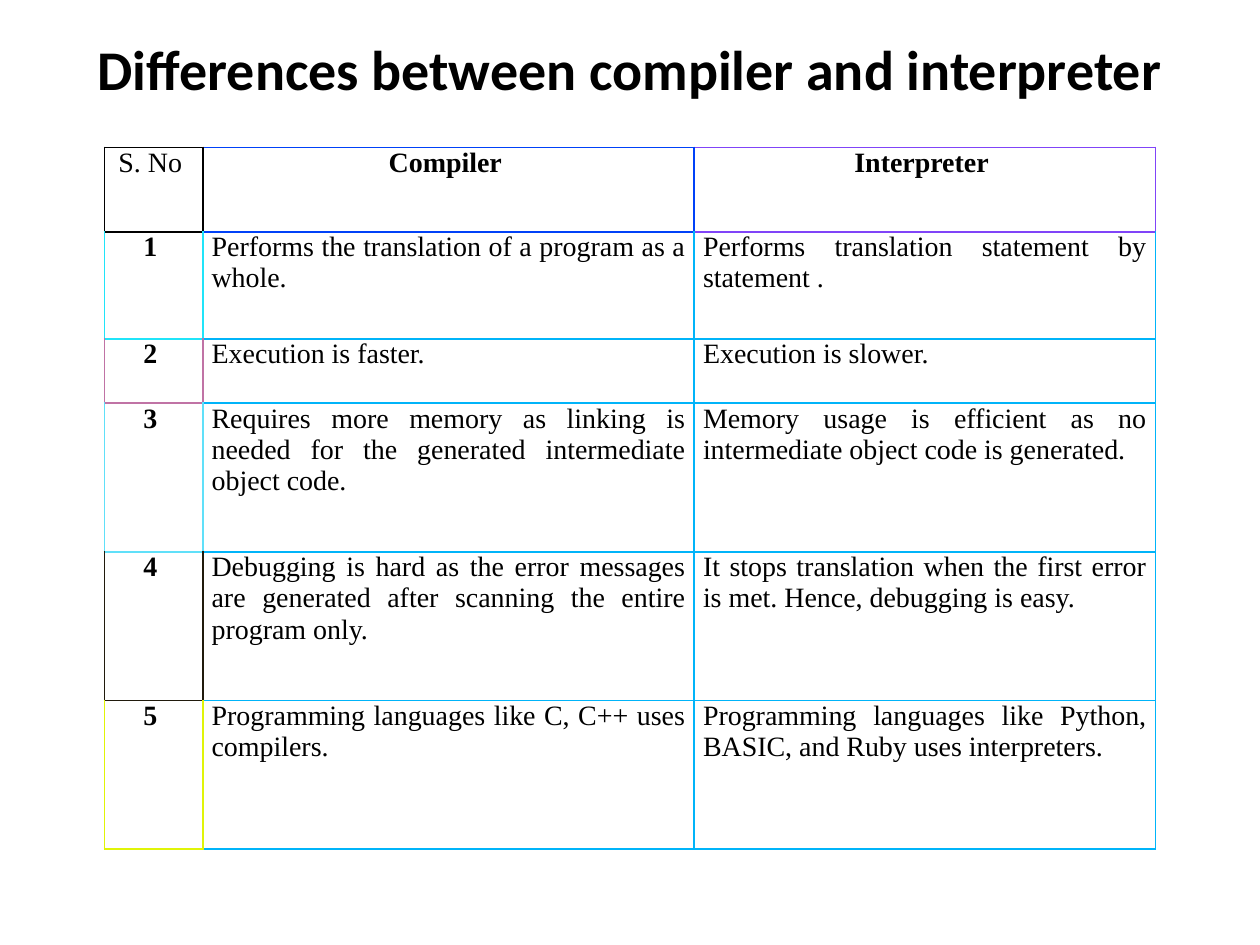
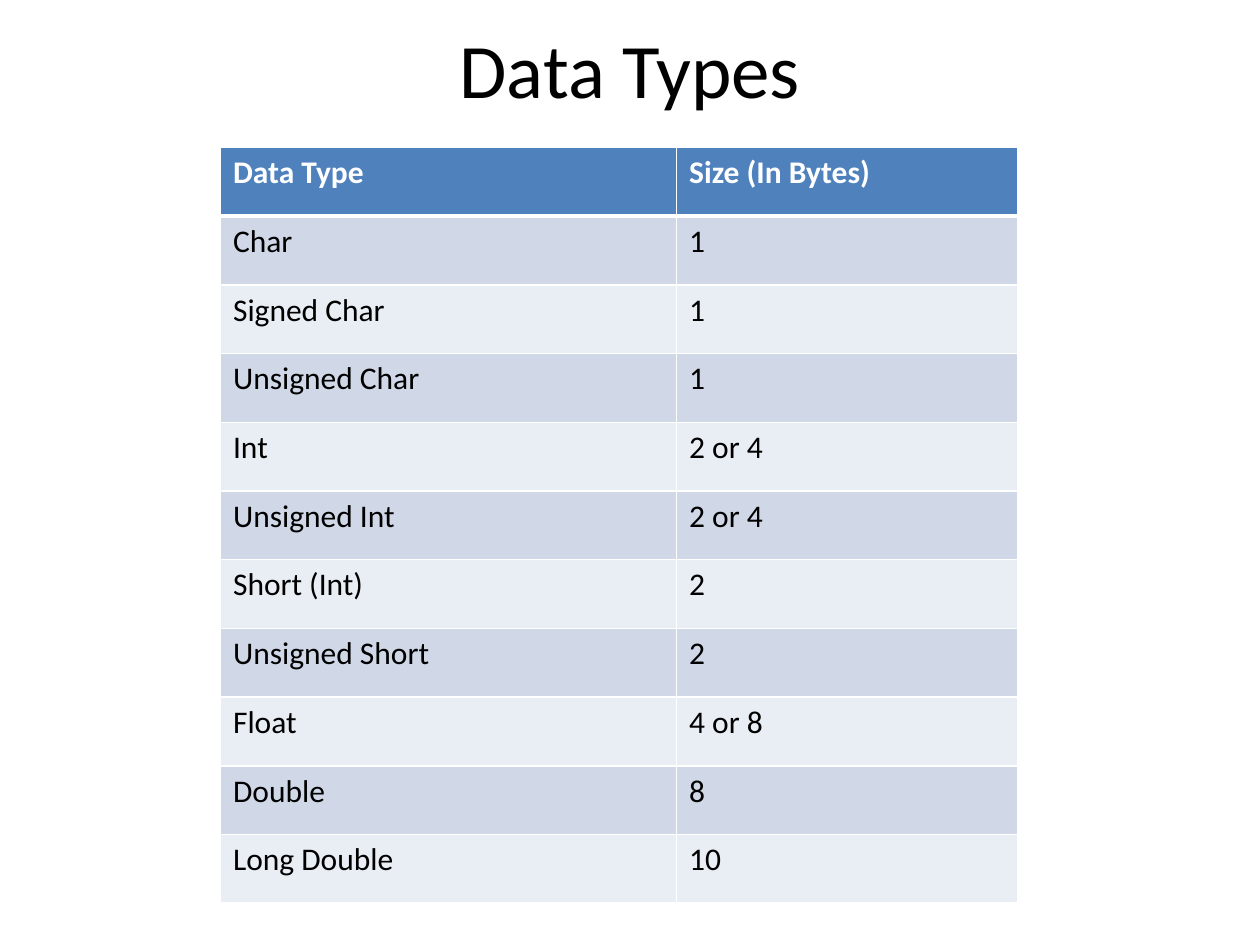
from lxml.etree import SubElement
from pptx import Presentation
from pptx.dml.color import RGBColor
from pptx.enum.text import MSO_ANCHOR, PP_ALIGN
from pptx.oxml.ns import qn
from pptx.util import Inches, Pt

BLACK, WHITE = "000000", "FFFFFF"
HEADER_BLUE = "4F81BD"
BANDS = ("D0D8E8", "E9EDF4")
SKY, ROYAL, VIOLET = "00B4F9", "0041F8", "8044F8"
NUMBER_COLOURS = ("20E4F9", "C073A5", "60E0F9", "201A0C", "E0F408")
TITLE_BOX = (0.5, 0.08, 9, 0.92)

COMPARISON = (
    ("S. No ", "Compiler ", "Interpreter "),
    ("1 ", "Performs the translation of a program as a whole. ",
     "Performs translation statement by statement . "),
    ("2 ", "Execution is faster. ", "Execution is slower. "),
    ("3 ", "Requires more memory as linking is needed for the generated intermediate object code. ",
     "Memory usage is efficient as no intermediate object code is generated. "),
    ("4 ", "Debugging is hard as the error messages are generated after scanning the entire program only. ",
     "It stops translation when the first error is met. Hence, debugging is easy. "),
    ("5 ", "Programming languages like C, C++ uses compilers. ",
     "Programming languages like Python, BASIC, and Ruby uses interpreters. "),
)
DATA_TYPES = (
    ("Data Type", "Size (In Bytes)"),
    ("Char", "1"),
    ("Signed Char", "1"),
    ("Unsigned Char", "1"),
    ("Int", "2 or 4"),
    ("Unsigned Int", "2 or 4"),
    ("Short (Int)", "2"),
    ("Unsigned Short", "2"),
    ("Float", "4 or 8"),
    ("Double", "8"),
    ("Long Double", "10"),
)


def colour(code):
    """Turn a hex string into a colour."""
    return RGBColor.from_string(code)


def style_paragraph(para, font_name, size, shade=BLACK, bold=False, align=PP_ALIGN.LEFT):
    """Set the alignment and font of a paragraph."""
    para.alignment = align
    para.font.name = font_name
    para.font.size = Pt(size)
    para.font.bold = bold
    para.font.color.rgb = colour(shade)


def add_title(page, text, size, bold=False):
    """Add the centred title of a slide."""
    box = page.shapes.add_textbox(*map(Inches, TITLE_BOX))
    frame = box.text_frame
    frame.word_wrap = True
    frame.vertical_anchor = MSO_ANCHOR.MIDDLE
    frame.text = text
    style_paragraph(frame.paragraphs[0], "Calibri", size, bold=bold, align=PP_ALIGN.CENTER)


def add_grid(page, rows, left, top, widths, heights):
    """Add a table with its texts and without banding, and return it."""
    frame = page.shapes.add_table(len(rows), len(widths), Inches(left), Inches(top),
                                  Inches(sum(widths)), Inches(sum(heights)))
    table = frame.table
    table.first_row = table.horz_banding = False
    for column, width in zip(table.columns, widths):
        column.width = Inches(width)
    for row, height, texts in zip(table.rows, heights, rows):
        row.height = Inches(height)
        for cell, text in zip(row.cells, texts):
            cell.text = text
    return table


def set_borders(cell, **sides):
    """Draw cell borders, each side given as a colour and a width in points."""
    properties = cell._tc.get_or_add_tcPr()
    for side in "LRTB":
        code, width = sides[side]
        line = SubElement(properties, qn(f"a:ln{side}"), w=str(Pt(width)))
        fill = SubElement(line, qn("a:solidFill"))
        SubElement(fill, qn("a:srgbClr"), val=code)


def cell_colour(row, column):
    """Give the border colour that a comparison cell owns."""
    if row == 0:
        return (BLACK, ROYAL, VIOLET)[column]
    return NUMBER_COLOURS[row - 1] if column == 0 else SKY


def add_comparison(page, left, top):
    """Add the ruled table whose cells take left and top borders from neighbours."""
    table = add_grid(page, COMPARISON, left, top, (0.78, 3.9, 3.66),
                     (0.67, 0.85, 0.51, 1.18, 1.18, 1.18))
    for row in range(len(COMPARISON)):
        for column in range(3):
            cell = table.cell(row, column)
            own = (cell_colour(row, column), 1)
            set_borders(cell, L=(cell_colour(row, max(column - 1, 0)), 1), R=own,
                        T=(cell_colour(max(row - 1, 0), column), 1), B=own)
            cell.fill.background()
            cell.margin_left = cell.margin_right = Inches(0.07)
            cell.margin_top = cell.margin_bottom = 0
            heading = row == 0 or column == 0
            style_paragraph(cell.text_frame.paragraphs[0], "Times New Roman", 16,
                            bold=heading and row + column > 0,
                            align=PP_ALIGN.CENTER if heading else PP_ALIGN.JUSTIFY)


def add_data_types(page, left, top):
    """Add the banded table of data types under a blue header."""
    count = len(DATA_TYPES)
    table = add_grid(page, DATA_TYPES, left, top, (3.62, 2.71), [6 / count] * count)
    thin, thick = (WHITE, 1), (WHITE, 3)
    for index, row in enumerate(table.rows):
        header = index == 0
        for cell in row.cells:
            set_borders(cell, L=thin, R=thin, T=thick if index == 1 else thin,
                        B=thick if header else thin)
            cell.fill.solid()
            cell.fill.fore_color.rgb = colour(HEADER_BLUE if header else BANDS[(index - 1) % 2])
            style_paragraph(cell.text_frame.paragraphs[0], "Calibri", 18,
                            WHITE if header else BLACK, bold=header)


def main():
    """Build and save the deck."""
    deck = Presentation()
    deck.slide_width, deck.slide_height = Inches(10), Inches(7.5)
    blank = deck.slide_layouts[6]

    page = deck.slides.add_slide(blank)
    add_title(page, "Differences between compiler and interpreter", 32, bold=True)
    add_comparison(page, 0.83, 1.17)

    page = deck.slides.add_slide(blank)
    add_title(page, "Data Types", 44)
    add_data_types(page, 1.75, 1.17)

    deck.save("out.pptx")


if __name__ == "__main__":
    main()
